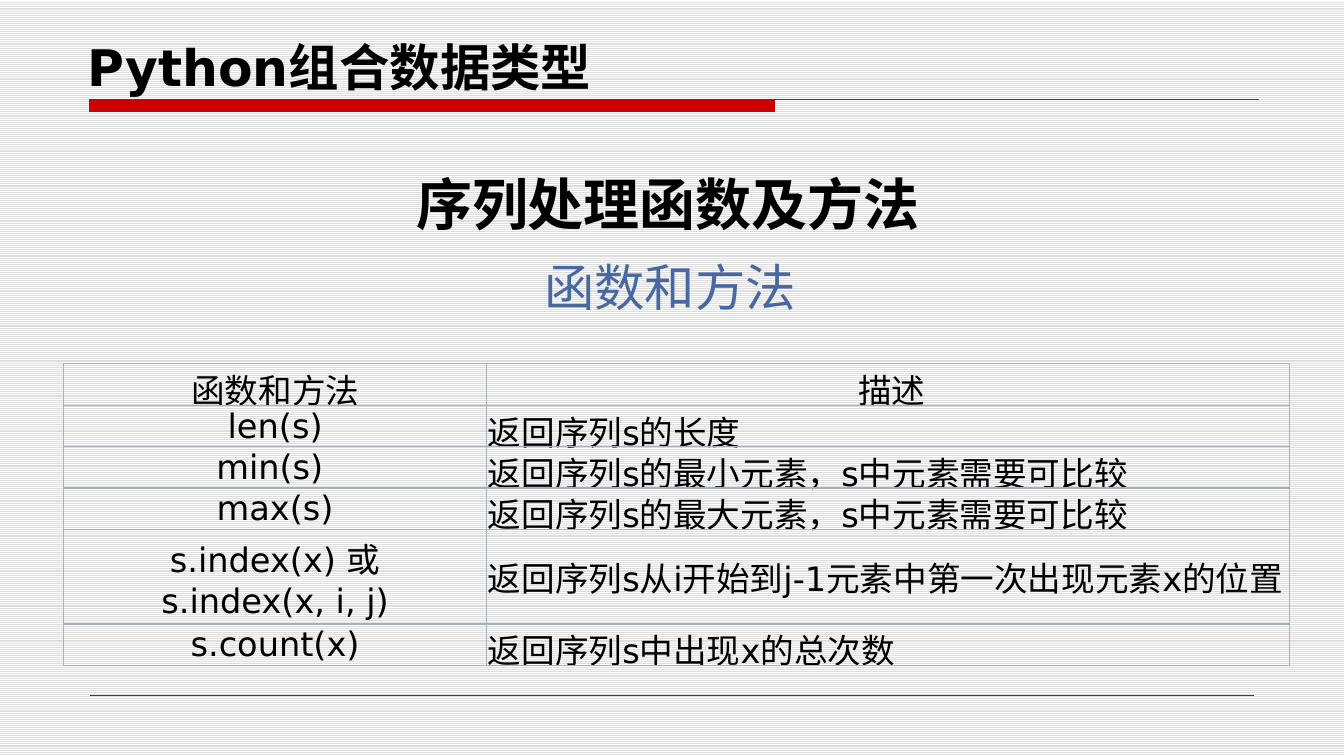
from lxml.etree import SubElement
from pptx import Presentation
from pptx.dml.color import RGBColor
from pptx.enum.dml import MSO_PATTERN
from pptx.enum.shapes import MSO_CONNECTOR
from pptx.enum.text import MSO_ANCHOR, MSO_AUTO_SIZE, PP_ALIGN
from pptx.oxml.ns import qn
from pptx.util import Inches, Pt

BLACK = RGBColor(0x00, 0x00, 0x00)
WHITE = RGBColor(0xFF, 0xFF, 0xFF)
STRIPE = RGBColor(0xDD, 0xDD, 0xDD)
RED = RGBColor(0xCC, 0x00, 0x00)
BLUE = RGBColor(0x48, 0x68, 0xA2)
BORDER = RGBColor(0xA3, 0xB2, 0xC1)
SANS = "DejaVu Sans"
CJK = "Noto Sans CJK SC"

ROWS = [
    (["函数和方法"], " 描述"),
    (["len(s)"], "返回序列s的长度"),
    (["min(s) "], "返回序列s的最小元素，s中元素需要可比较"),
    (["max(s)"], "返回序列s的最大元素，s中元素需要可比较"),
    (["s.index(x) 或", "s.index(x, i, j)"],
     "返回序列s从i开始到j-1元素中第一次出现元素x的位置"),
    (["s.count(x)"], "返回序列s中出现x的总次数"),
]
COLUMN_WIDTHS = [4.2, 7.96]
ROW_HEIGHT = 0.41
TALL_ROW_HEIGHT = 0.94


def add_run(paragraph, text, size, color=BLACK, font=SANS, bold=False):
    """Append one formatted run to a paragraph."""
    run = paragraph.add_run()
    run.text = text
    run.font.name = font
    run.font.size = Pt(size)
    run.font.bold = bold
    run.font.color.rgb = color


def set_background(slide):
    """Give the slide its light horizontal stripes."""
    fill = slide.background.fill
    fill.patterned()
    fill.pattern = MSO_PATTERN.LIGHT_HORIZONTAL
    fill.fore_color.rgb = STRIPE
    fill.back_color.rgb = WHITE


def add_title_bar(slide, left, top, width, height):
    """Draw the thick bar and the thin rule that continues it as one outline."""
    bar_right, bottom = Inches(left + 6.79), Inches(top + height)
    start, upper = Inches(left), Inches(top)
    builder = slide.shapes.build_freeform(start, upper)
    builder.add_line_segments(
        [(bar_right, upper), (bar_right, bottom), (start, bottom)], close=True)
    builder.move_to(start, upper)
    builder.add_line_segments([(Inches(left + width), upper)], close=False)
    bar = builder.convert_to_shape()
    bar.shadow.inherit = False
    bar.fill.solid()
    bar.fill.fore_color.rgb = RED
    bar.line.color.rgb = RED
    bar.line.width = Pt(0.75)


def add_footer_rule(slide, left, top, width):
    """Draw the hairline at the foot of the slide."""
    rule = slide.shapes.add_connector(
        MSO_CONNECTOR.STRAIGHT, Inches(left), Inches(top),
        Inches(left + width), Inches(top))
    rule.line.color.rgb = RED
    rule.line.width = Pt(0.25)
    SubElement(rule._element.spPr, qn("a:effectLst"))


def fill_title(slide, left, top, width, height):
    """Place and fill the title placeholder."""
    title = slide.shapes.title
    title.left, title.top = Inches(left), Inches(top)
    title.width, title.height = Inches(width), Inches(height)
    frame = title.text_frame
    frame.vertical_anchor = MSO_ANCHOR.BOTTOM
    frame.auto_size = MSO_AUTO_SIZE.NONE
    paragraph = frame.paragraphs[0]
    paragraph.alignment = PP_ALIGN.LEFT
    paragraph.line_spacing = 0.9
    add_run(paragraph, "Python组合数据类型", 36, bold=True)


def add_heading(slide, left, top, width, height, text, size, spacing=1.0, **style):
    """Add a one-line heading that does not wrap."""
    box = slide.shapes.add_textbox(
        Inches(left), Inches(top), Inches(width), Inches(height))
    frame = box.text_frame
    frame.word_wrap = False
    frame.auto_size = MSO_AUTO_SIZE.SHAPE_TO_FIT_TEXT
    paragraph = frame.paragraphs[0]
    paragraph.line_spacing = spacing
    add_run(paragraph, text, size, **style)


def format_cell(cell):
    """Clear the fill of a cell and give it tight margins and thin borders."""
    cell.vertical_anchor = MSO_ANCHOR.MIDDLE
    cell.margin_left = cell.margin_right = cell.margin_top = Inches(0.01)
    cell.margin_bottom = 0
    properties = cell._tc.get_or_add_tcPr()
    for side in ("a:lnL", "a:lnR", "a:lnT", "a:lnB"):
        line = SubElement(properties, qn(side), w=str(Pt(1)))
        solid = SubElement(line, qn("a:solidFill"))
        SubElement(solid, qn("a:srgbClr"), val=str(BORDER))
    cell.fill.background()


def add_function_table(slide, left, top, width, height):
    """Add the table of sequence functions and their descriptions."""
    table = slide.shapes.add_table(
        len(ROWS), len(COLUMN_WIDTHS), Inches(left), Inches(top),
        Inches(width), Inches(height)).table
    table.first_row = table.horz_banding = False
    for column, column_width in zip(table.columns, COLUMN_WIDTHS):
        column.width = Inches(column_width)
    for row_index, (names, description) in enumerate(ROWS):
        row = table.rows[row_index]
        row.height = Inches(TALL_ROW_HEIGHT if len(names) > 1 else ROW_HEIGHT)
        for column_index, lines in enumerate((names, [description])):
            cell = row.cells[column_index]
            format_cell(cell)
            centred = row_index == 0 or column_index == 0
            for line_index, text in enumerate(lines):
                frame = cell.text_frame
                paragraph = frame.add_paragraph() if line_index else frame.paragraphs[0]
                paragraph.alignment = PP_ALIGN.CENTER if centred else PP_ALIGN.LEFT
                add_run(paragraph, text, 24)


def main():
    """Build the slide and save it."""
    presentation = Presentation()
    presentation.slide_width = Inches(40 / 3)
    presentation.slide_height = Inches(7.5)
    slide = presentation.slides.add_slide(presentation.slide_layouts[5])
    set_background(slide)
    add_title_bar(slide, 0.89, 0.99, 11.6, 0.12)
    add_footer_rule(slide, 0.89, 6.9, 11.55)
    fill_title(slide, 0.77, 0.25, 12.07, 0.77)
    add_heading(slide, 4.03, 1.43, 5.27, 0.85, "序列处理函数及方法", 40,
                spacing=1.3, font=CJK, bold=True)
    add_heading(slide, 5.3, 2.49, 2.73, 0.71, "函数和方法", 36, color=BLUE)
    add_function_table(slide, 0.63, 3.61, 12.16, 2.99)
    presentation.save("out.pptx")


if __name__ == "__main__":
    main()
